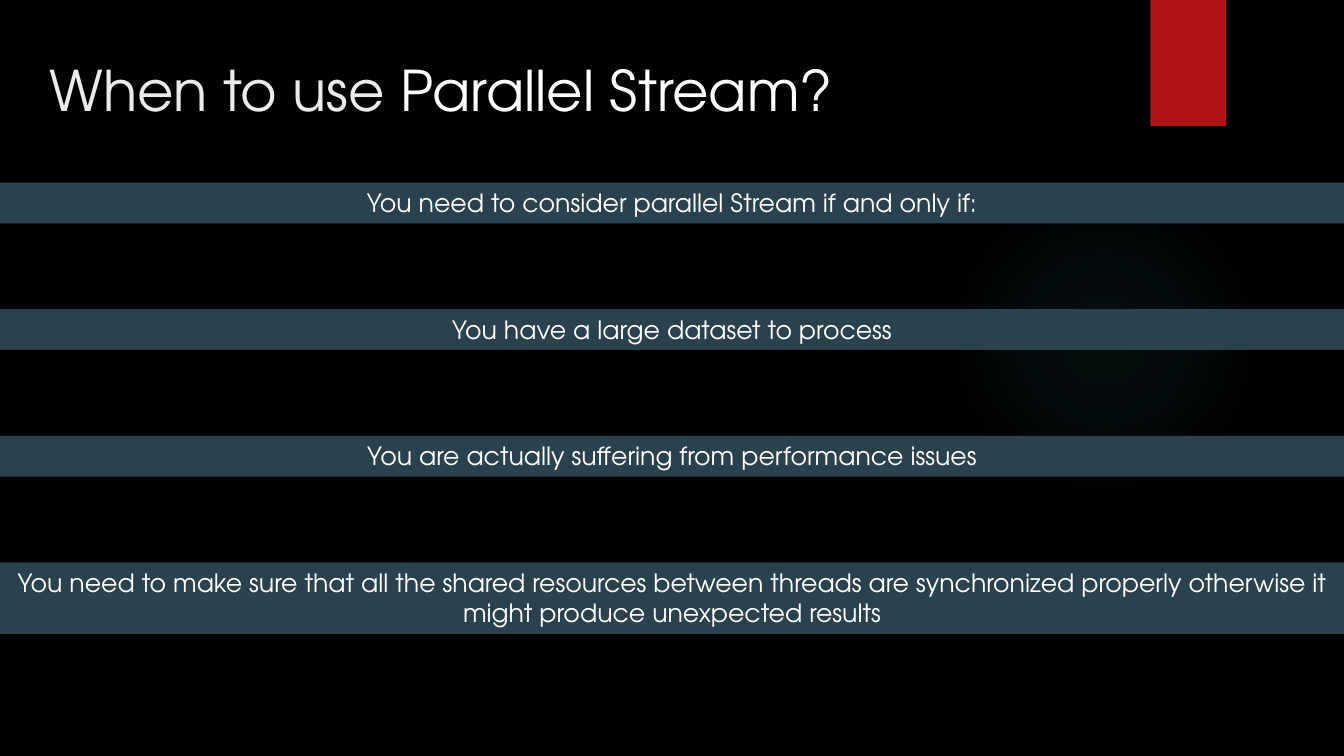
from lxml.etree import SubElement
from pptx import Presentation
from pptx.dml.color import RGBColor
from pptx.enum.shapes import MSO_SHAPE
from pptx.enum.text import MSO_ANCHOR, MSO_AUTO_SIZE, PP_ALIGN
from pptx.oxml.ns import qn
from pptx.util import Pt

COLORS = {
    "background": "000000",
    "glow": "50B9C1",
    "ribbon": "B01513",
    "bar": "2A424D",
    "soft_white": "EBEBEB",
    "white": "FFFFFF",
}
SLIDE_WIDTH, SLIDE_HEIGHT = 960, 540
BAR_TOP, BAR_PITCH = 130.4, 90.45
BAR_PADDING, LINE_HEIGHT = 7.2, 22
CONDITIONS = [
    ("You need to consider parallel Stream if and only if:", 1),
    ("You have a large dataset to process", 1),
    ("You are actually suffering from performance issues", 1),
    ("You need to make sure that all the shared resources between threads are "
     "synchronized properly otherwise it might produce unexpected results", 2),
]


class SlideBuilder:
    """Holds the text style and the slide being filled; lengths are in points."""

    def __init__(self, slide, font):
        self.slide = slide
        self.font = font

    def background(self, color):
        fill = self.slide.background.fill
        fill.solid()
        fill.fore_color.rgb = RGBColor.from_string(COLORS[color])

    def shape(self, kind, left, top, width, height, color):
        shape = self.slide.shapes.add_shape(
            kind, Pt(left), Pt(top), Pt(width), Pt(height))
        shape.shadow.inherit = False
        shape.line.fill.background()
        shape.fill.solid()
        shape.fill.fore_color.rgb = RGBColor.from_string(COLORS[color])
        return shape

    def glow(self, left, top, size, color, stops):
        """Draw a circle fading outward; stops are (position, opacity) percentages."""
        circle = self.shape(MSO_SHAPE.OVAL, left, top, size, size, color)
        circle.fill.gradient()
        gradient = circle.fill._xPr.find(qn("a:gradFill"))
        for child in list(gradient):
            gradient.remove(child)
        stop_list = SubElement(gradient, qn("a:gsLst"))
        for position, opacity in stops:
            stop = SubElement(stop_list, qn("a:gs"), pos=str(position * 1000))
            stop_color = SubElement(stop, qn("a:srgbClr"), val=COLORS[color])
            SubElement(stop_color, qn("a:alpha"), val=str(opacity * 1000))
        radial = SubElement(gradient, qn("a:path"))
        radial.set("path", "circle")
        center = {side: "50000" for side in "ltrb"}
        SubElement(radial, qn("a:fillToRect"), **center)

    def style(self, span, size, color):
        span.font.name = self.font
        span.font.size = Pt(size)
        span.font.color.rgb = RGBColor.from_string(COLORS[color])

    def title(self, left, top, width, height, parts):
        box = self.slide.shapes.add_textbox(Pt(left), Pt(top), Pt(width), Pt(height))
        frame = box.text_frame
        frame.word_wrap = True
        frame.vertical_anchor = MSO_ANCHOR.TOP
        for text, color in parts:
            span = frame.paragraphs[0].add_run()
            span.text = text
            self.style(span, 40, color)

    def bar(self, top, height, text):
        bar = self.shape(MSO_SHAPE.RECTANGLE, 0, top, SLIDE_WIDTH, height, "bar")
        frame = bar.text_frame
        frame.text = text
        frame.word_wrap = True
        frame.auto_size = MSO_AUTO_SIZE.SHAPE_TO_FIT_TEXT
        frame.vertical_anchor = MSO_ANCHOR.TOP
        para = frame.paragraphs[0]
        para.alignment = PP_ALIGN.CENTER
        self.style(para.runs[0], 18, "white")


def main():
    deck = Presentation()
    deck.slide_width, deck.slide_height = Pt(SLIDE_WIDTH), Pt(SLIDE_HEIGHT)
    slide = deck.slides.add_slide(deck.slide_layouts[6])
    builder = SlideBuilder(slide, "TeX Gyre Adventor")

    builder.background("background")
    builder.glow(677.5, 131.8, 221.8, "glow", [(0, 7), (36, 6), (69, 0)])
    builder.shape(MSO_SHAPE.RECTANGLE, 821.8, 0, 54, 90, "ribbon")
    builder.title(28.2, 36, 795.6, 63.4,
                  [("When to use ", "soft_white"), ("Parallel Stream?", "white")])
    for index, (text, lines) in enumerate(CONDITIONS):
        builder.bar(BAR_TOP + index * BAR_PITCH,
                    BAR_PADDING + lines * LINE_HEIGHT, text)

    deck.save("out.pptx")


if __name__ == "__main__":
    main()
